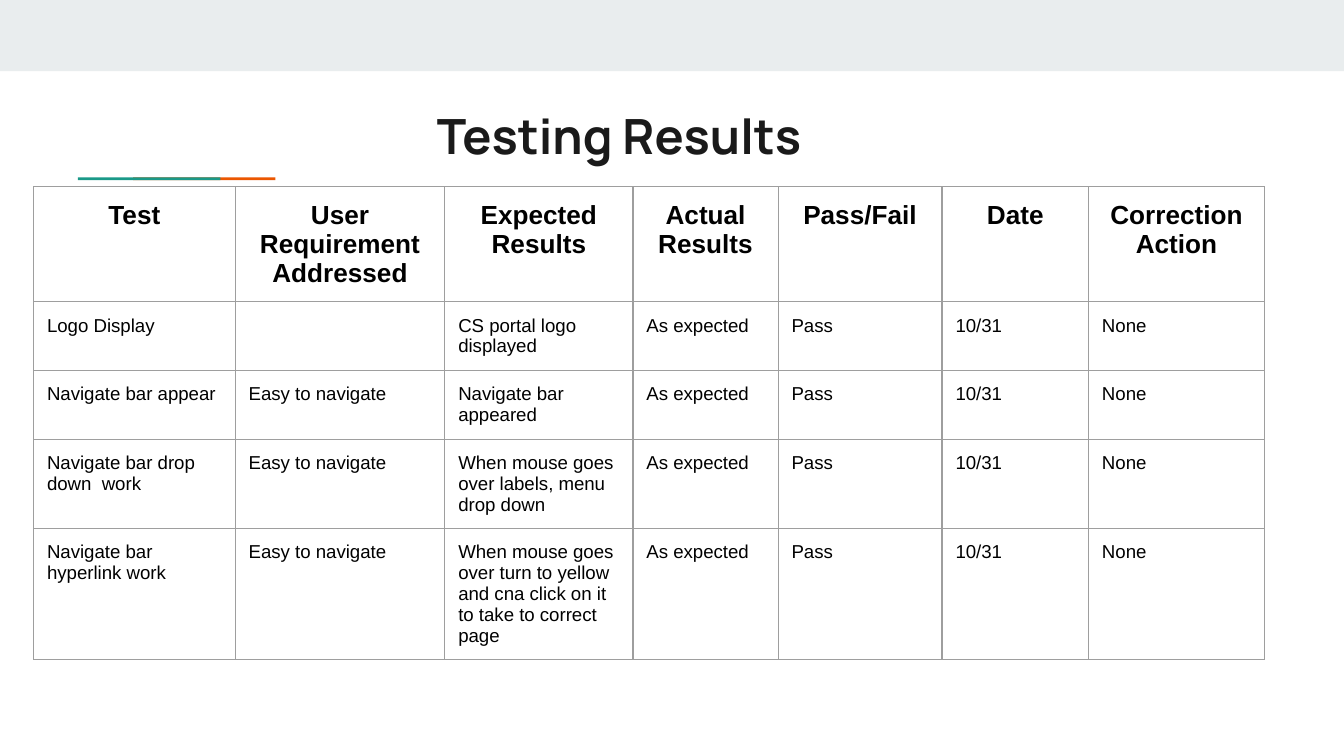
from dataclasses import dataclass

from lxml import etree
from pptx import Presentation
from pptx.dml.color import RGBColor
from pptx.enum.shapes import MSO_SHAPE
from pptx.enum.text import MSO_ANCHOR, MSO_AUTO_SIZE, PP_ALIGN
from pptx.oxml.ns import qn
from pptx.util import Inches, Pt

RECT = MSO_SHAPE.RECTANGLE
TOP = MSO_ANCHOR.TOP
LEFT, CENTER = PP_ALIGN.LEFT, PP_ALIGN.CENTER
NO_FIT = MSO_AUTO_SIZE.NONE
INSET = Inches(0.1)
BORDER = "9E9E9E"


@dataclass
class Bar:
    left: float
    top: float
    width: float
    height: float
    color: str


@dataclass
class Column:
    heading: str
    width: float


BARS = [
    Bar(0, 0, 10, 0.53, "E9EDEE"),
    Bar(0.99, 1.32, 1.06, 0.02, "EB5600"),
    Bar(0.58, 1.32, 1.06, 0.02, "1A9988"),
]
COLUMNS = [
    Column("Test", 1.5),
    Column("User Requirement\nAddressed", 1.56),
    Column("Expected Results", 1.4),
    Column("Actual\nResults", 1.08),
    Column("Pass/Fail", 1.22),
    Column("Date", 1.09),
    Column("Correction Action", 1.31),
]
OUTCOME = ["As expected", "Pass", "10/31", "None"]  # same for every test
TESTS = [
    ["Logo Display", "", "CS portal logo displayed"],
    ["Navigate bar appear", "Easy to navigate", "Navigate bar appeared"],
    ["Navigate bar drop down  work", "Easy to navigate",
     "When mouse goes over labels, menu drop down"],
    ["Navigate bar hyperlink work", "Easy to navigate",
     "When mouse goes over turn to yellow and cna click on it to take to correct page"],
]
ROW_HEIGHT = 0.42  # least height; rows grow with their text


def rgb(color: str) -> RGBColor:
    return RGBColor.from_string(color)


def add_bar(s, bar: Bar) -> None:
    sp = s.shapes.add_shape(RECT, Inches(bar.left), Inches(bar.top),
                            Inches(bar.width), Inches(bar.height))
    sp.shadow.inherit = False
    sp.fill.solid()
    sp.fill.fore_color.rgb = rgb(bar.color)
    sp.line.fill.background()


def format_text(tf, font: str, size: float, color: str, bold: bool, align) -> None:
    for p in tf.paragraphs:
        p.alignment = align
        p.font.name = font
        p.font.size = Pt(size)
        p.font.bold = bold
        p.font.color.rgb = rgb(color)


def set_borders(cell, color: str, width: float) -> None:
    tc_pr = cell._tc.get_or_add_tcPr()
    for i, side in enumerate(("a:lnL", "a:lnR", "a:lnT", "a:lnB")):
        ln = etree.Element(qn(side), w=str(Pt(width)))
        fill = etree.SubElement(ln, qn("a:solidFill"))
        etree.SubElement(fill, qn("a:srgbClr"), val=color)
        tc_pr.insert(i, ln)  # borders come before the fill


def fill_cell(cell, text: str, header: bool) -> None:
    cell.text = text
    cell.vertical_anchor = TOP
    cell.margin_left = cell.margin_right = INSET
    cell.margin_top = cell.margin_bottom = INSET
    cell.fill.background()
    format_text(cell.text_frame, "Arial", 14 if header else 10, "000000",
                header, CENTER if header else LEFT)
    set_borders(cell, BORDER, 0.75)


def add_results_table(s) -> None:
    rows = [[c.heading for c in COLUMNS]] + [test + OUTCOME for test in TESTS]
    frame = s.shapes.add_table(len(rows), len(COLUMNS), Inches(0.25), Inches(1.39),
                               Inches(sum(c.width for c in COLUMNS)),
                               Inches(ROW_HEIGHT * len(rows)))
    table = frame.table
    table.horz_banding = False
    for table_column, column in zip(table.columns, COLUMNS):
        table_column.width = Inches(column.width)
    for i, texts in enumerate(rows):
        table.rows[i].height = Inches(ROW_HEIGHT)
        for j, text in enumerate(texts):
            fill_cell(table.cell(i, j), text, header=i == 0)


def add_title(s, text: str) -> None:
    title = s.shapes.title
    title.left, title.top = Inches(3.15), Inches(0.69)
    title.width, title.height = Inches(3.2), Inches(0.59)
    tf = title.text_frame
    tf.text = text
    tf.word_wrap = True
    tf.auto_size = NO_FIT
    tf.vertical_anchor = TOP
    tf.margin_left = tf.margin_right = tf.margin_top = tf.margin_bottom = INSET
    format_text(tf, "Manrope", 26, "1A1A1A", True, LEFT)


def main() -> None:
    prs = Presentation()
    prs.slide_width = Inches(10)
    prs.slide_height = prs.slide_width * 9 // 16  # widescreen
    s = prs.slides.add_slide(prs.slide_layouts[5])  # title only

    # Top band and accent line
    for bar in BARS:
        add_bar(s, bar)

    # Title and test results
    add_title(s, "Testing Results")
    add_results_table(s)

    prs.save("out.pptx")


if __name__ == "__main__":
    main()
